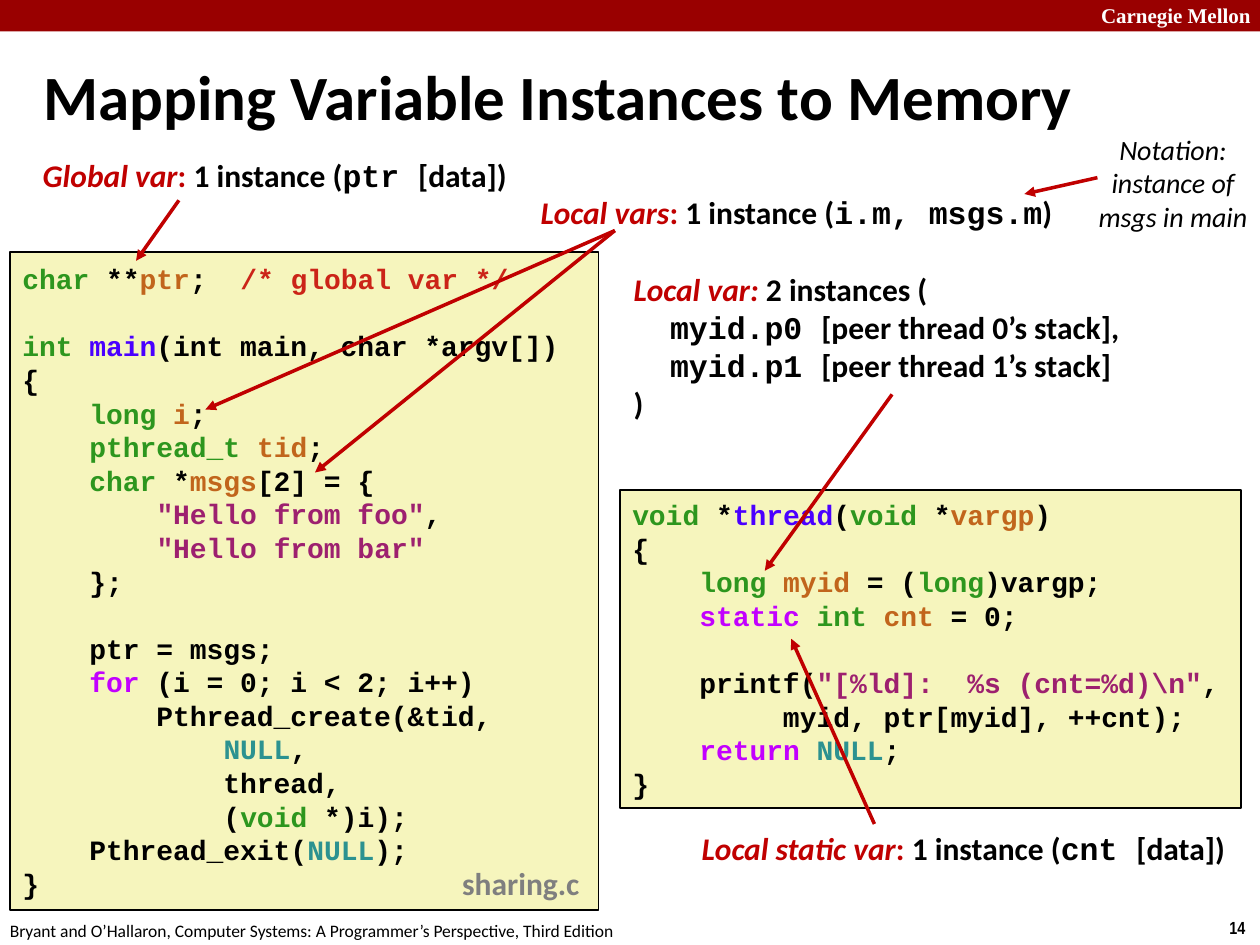
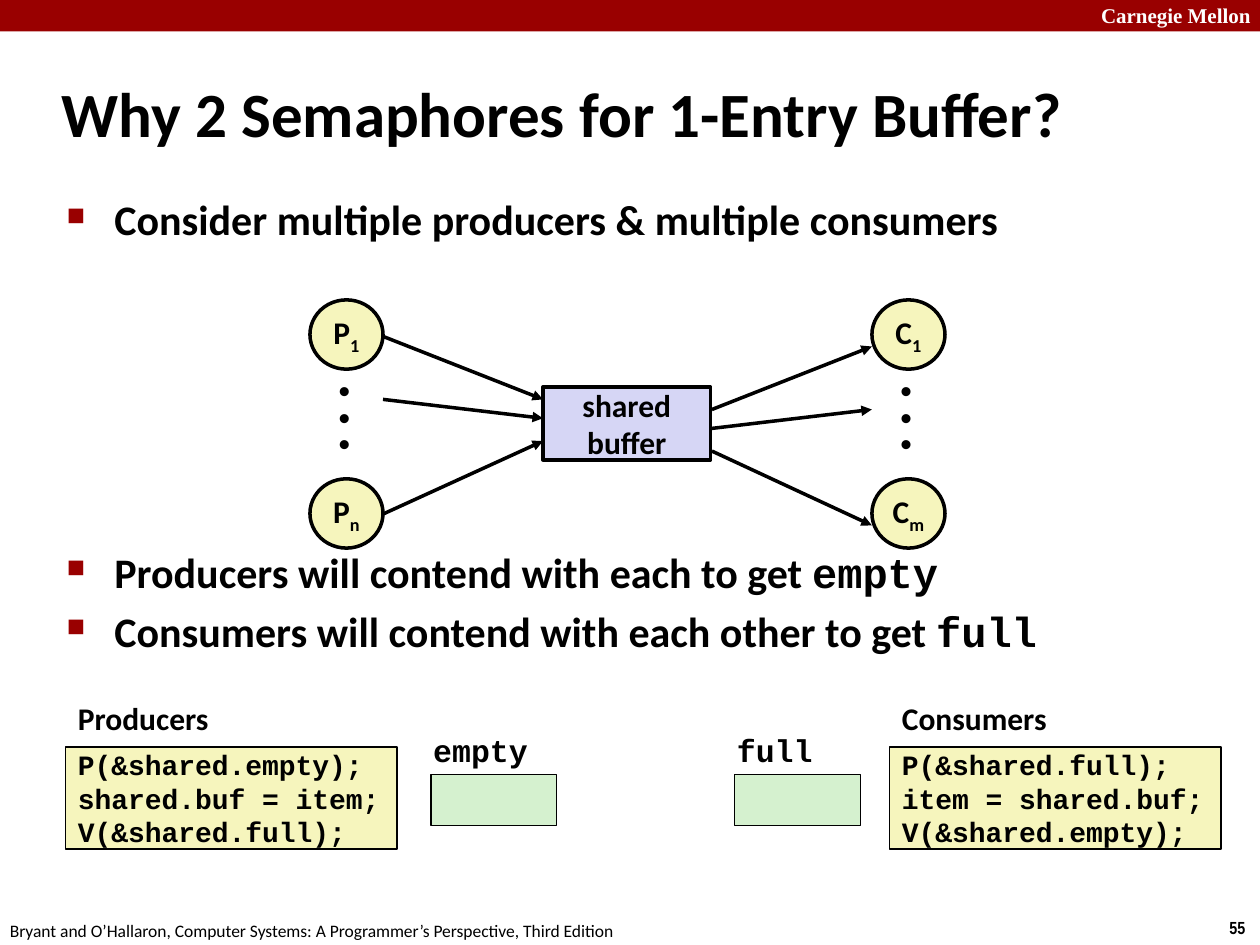
from lxml.etree import SubElement
from pptx import Presentation
from pptx.dml.color import RGBColor
from pptx.enum.shapes import MSO_CONNECTOR, MSO_SHAPE
from pptx.enum.text import MSO_ANCHOR as Anchor, MSO_AUTO_SIZE as AutoSize, PP_ALIGN as Align
from pptx.oxml.ns import qn
from pptx.util import Inches, Pt

# Shared look
BLACK, WHITE, BAND_RED, NOTE_RED = "000000", "FFFFFF", "990000", "C00000"
CODE_FILL, BUFFER_FILL, SEMAPHORE_FILL, GRAY = "F6F5BD", "D6D6F5", "D5F1CF", "7F7F7F"
BODY_FONT, CODE_FONT = "Calibri", "Courier New"
FOOTER = "Bryant and O’Hallaron, Computer Systems: A Programmer’s Perspective, Third Edition"

# Text runs are separated by "|"; a run may start with one of these tags and "~"
TAG_COLORS = {"type": "2D961E", "var": "C1651C", "func": "4A00FF", "str": "9D206F",
              "key": "C200FF", "null": "2C9290", "comment": "CB2418",
              "scope": NOTE_RED, "colon": NOTE_RED}

MAIN_CODE = r'''type~char| **|var~ptr|;  |comment~/* global var */

type~int |func~main|(int main, char *argv[])
{
    |type~long |var~i|;
    |type~pthread_t |var~tid|;
    |type~char| *|var~msgs|[2] = {
        |str~"Hello from foo"|,
        |str~"Hello from bar"
    };

    ptr = msgs;
    |key~for| (i = 0; i < 2; i++)
        Pthread_create(&tid,
            |null~NULL|,
            thread,
            (|type~void| *)i);
    Pthread_exit(|null~NULL|);
}'''

THREAD_CODE = r'''type~void| *|func~thread|(|type~void| *|var~vargp|)
{
    |type~long |var~myid| = (|type~long|)vargp;
    |key~static |type~int |var~cnt| = 0;

    printf(|str~"[%ld]:  %s (cnt=%d)\n"|,
         myid, ptr[myid], ++cnt);
    |key~return |null~NULL|;
}'''


def rgb(hex_color):
    return RGBColor.from_string(hex_color)


def write(frame, text, size, font=BODY_FONT, color=BLACK, bold=True, italic=False,
          align=Align.LEFT, anchor=Anchor.TOP, wrap=False, margin_y=0.05):
    """Fill a text frame from tagged text, one paragraph a line."""
    frame.word_wrap = wrap
    frame.vertical_anchor = anchor
    frame.margin_left = frame.margin_right = Inches(0.1)
    frame.margin_top = frame.margin_bottom = Inches(margin_y)
    for number, line in enumerate(text.split("\n")):
        paragraph = frame.add_paragraph() if number else frame.paragraphs[0]
        paragraph.alignment = align
        paragraph.font.size = Pt(size)
        paragraph.font.name = font
        for part in line.split("|") if line else []:
            tag, _, words = part.rpartition("~")
            run = paragraph.add_run()
            run.text = words
            run.font.size = Pt(size)
            run.font.name = CODE_FONT if tag == "mono" else font
            run.font.bold = bold
            run.font.italic = italic or tag == "scope"
            run.font.color.rgb = rgb(TAG_COLORS.get(tag, color))
            if tag == "sub":
                run.font._element.set("baseline", "-25000")


def add_label(slide, area, text, size, grow=True, **style):
    label = slide.shapes.add_textbox(*map(Inches, area))
    write(label.text_frame, text, size, **style)
    if grow:
        label.text_frame.auto_size = AutoSize.SHAPE_TO_FIT_TEXT
    return label


def add_block(slide, area, fill, line_width=0, kind=MSO_SHAPE.RECTANGLE):
    block = slide.shapes.add_shape(kind, *map(Inches, area))
    block.shadow.inherit = False
    block.fill.solid()
    block.fill.fore_color.rgb = rgb(fill)
    if line_width:
        block.line.color.rgb = rgb(BLACK)
        block.line.width = Pt(line_width)
    else:
        block.line.fill.background()
    return block


def add_code(slide, area, code, **style):
    block = add_block(slide, area, CODE_FILL, 1)
    write(block.text_frame, code, 16, font=CODE_FONT, anchor=Anchor.MIDDLE, **style)


def add_node(slide, area, text, fill, kind):
    node = add_block(slide, area, fill, 2, kind)
    write(node.text_frame, text, 18, align=Align.CENTER, anchor=Anchor.MIDDLE, margin_y=0)


def add_arrow(slide, start, end, color=BLACK):
    arrow = slide.shapes.add_connector(MSO_CONNECTOR.STRAIGHT, *map(Inches, start + end))
    arrow.line.color.rgb = rgb(color)
    arrow.line.width = Pt(2)
    properties = arrow._element.spPr
    SubElement(properties.find(qn("a:ln")), qn("a:tailEnd"), type="triangle")
    SubElement(properties, qn("a:effectLst"))


def add_note(slide, area, text, **style):
    return add_label(slide, area, text, 18, anchor=Anchor.MIDDLE, margin_y=0, **style)


def add_bullets(slide, area, text):
    body = add_label(slide, area, text, 24, grow=False, wrap=True)
    for number, paragraph in enumerate(body.text_frame.paragraphs):
        if number:
            paragraph.space_before = Pt(4.8)
        properties = paragraph._p.get_or_add_pPr()
        properties.set("marL", str(Inches(0.38)))
        properties.set("indent", str(-Inches(0.38)))
        bullet_color = properties.makeelement(qn("a:buClr"), {})
        SubElement(bullet_color, qn("a:srgbClr"), val=BAND_RED)
        bullet_size = properties.makeelement(qn("a:buSzPct"), {"val": "60000"})
        bullet_mark = properties.makeelement(qn("a:buChar"), {"char": "■"})
        default_run = properties.find(qn("a:defRPr"))
        for bullet_part in (bullet_color, bullet_size, bullet_mark):
            default_run.addprevious(bullet_part)


def start_slide(deck, title, title_area, page):
    slide = deck.slides.add_slide(deck.slide_layouts[6])
    add_block(slide, (0, 0, 10, 0.25), BAND_RED)
    add_label(slide, (8.64, -0.03, 1.43, 0.3), "Carnegie Mellon", 12,
              font="Times New Roman", color=WHITE, wrap=True)
    add_label(slide, (9.66, 7.23, 0.34, 0.27), page, 10, font="Arial Narrow")
    add_label(slide, (-0.02, 7.25, 5.08, 0.27), FOOTER, 10, bold=False)
    add_label(slide, title_area, title, 36, grow=False, wrap=True, anchor=Anchor.MIDDLE)
    return slide


def build_mapping(deck):
    slide = start_slide(deck, "Mapping Variable Instances to Memory",
                        (0.25, 0.33, 9.7, 0.85), "14")
    add_code(slide, (0.08, 2, 4.67, 5.22), MAIN_CODE, wrap=True)
    add_code(slide, (4.92, 3.89, 4.93, 2.52), THREAD_CODE)
    add_label(slide, (3.57, 6.81, 1.14, 0.4), "sharing.c", 18, color=GRAY)

    # Where each variable lives
    for area, scope, variable, rest in (
            ((0.22, 1.24, 3.92, 0.3), "Global var", "ptr ", "[data])"),
            ((5.44, 6.58, 4.41, 0.3), "Local static var", "cnt ", "[data])"),
            ((4.17, 1.53, 4.3, 0.3), "Local vars", "i.m, msgs.m", ")")):
        add_note(slide, area, f"scope~{scope}|colon~: |1 instance (|mono~{variable}|{rest}",
                 align=Align.CENTER)
    myid_note = add_note(slide, (4.93, 2.14, 4.23, 1.21),
                         "scope~Local var: |2 instances (\n"
                         "mono~myid.p0 |[peer thread 0’s stack],\n"
                         "mono~myid.p1 |[peer thread 1’s stack]\n)")
    for instance in myid_note.text_frame.paragraphs[1:3]:
        instance._p.get_or_add_pPr().set("marL", str(Inches(0.29)))
    add_label(slide, (8.61, 1, 1.4, 0.91), "Notation:\ninstance of\nmsgs in main", 16,
              bold=False, italic=True, align=Align.CENTER)

    # Arrows from notes to code
    for start, end in (((1.42, 1.59), (1.08, 2.07)), ((6.94, 6.54), (6.28, 5.07)),
                       ((4.88, 1.83), (1.63, 3.25)), ((4.88, 1.83), (2.5, 3.75)),
                       ((7.08, 3.13), (6.07, 4.53)), ((8.71, 1.41), (8.13, 1.54))):
        add_arrow(slide, start, end, NOTE_RED)


def build_semaphores(deck):
    slide = start_slide(deck, "Why 2 Semaphores for 1-Entry Buffer?",
                        (0.39, 0.48, 8.3, 0.83), "55")
    add_bullets(slide, (0.43, 1.49, 8.64, 0.5),
                "Consider multiple producers & multiple consumers")
    add_bullets(slide, (0.43, 4.29, 8.64, 1),
                "Producers will contend with each to get |mono~empty\n"
                "Consumers will contend with each other to get |mono~full")

    # Producers and consumers around the buffer
    add_node(slide, (4.31, 3.07, 1.33, 0.58), "shared\nbuffer", BUFFER_FILL,
             MSO_SHAPE.RECTANGLE)
    for left, letter, last in ((2.46, "P", "n"), (6.92, "C", "m")):
        for top, index in ((2.38, "1"), (3.8, last)):
            add_node(slide, (left, top, 0.58, 0.55), f"{letter}|sub~{index}", CODE_FILL,
                     MSO_SHAPE.OVAL)
        dots = add_label(slide, (left + 0.13, 2.98, 0.32, 0.75), "•\n•\n•", 18, font="Arial")
        for dot in dots.text_frame.paragraphs:
            dot.line_spacing = 0.7
    for producer_y, buffer_y in ((2.67, 3.17), (3.17, 3.32), (4.08, 3.5)):
        add_arrow(slide, (3.04, producer_y), (4.31, buffer_y))
    for buffer_y, consumer_y in ((3.25, 2.75), (3.4, 3.25), (3.58, 4.17)):
        add_arrow(slide, (5.65, buffer_y), (6.92, consumer_y))

    # Code of each side
    for left, role, width, code in (
            (0.52, "Producers", 1.26, "P(&shared.empty);\nshared.buf = item;\nV(&shared.full);"),
            (7.06, "Consumers", 1.37, "P(&shared.full);\nitem = shared.buf;\nV(&shared.empty);")):
        add_code(slide, (left, 5.93, 2.63, 0.81), code, margin_y=0)
        add_label(slide, (left, 5.5, width, 0.4), role, 18)

    # Semaphores
    for left, semaphore, width in ((3.42, "empty", 0.96), (5.83, "full", 0.81)):
        add_block(slide, (left, 6.15, 1, 0.4), SEMAPHORE_FILL, 0.75)
        add_label(slide, (left - 0.08, 5.75, width, 0.4), semaphore, 18, font=CODE_FONT)


def main():
    deck = Presentation()
    deck.slide_width, deck.slide_height = Inches(10), Inches(7.5)
    build_mapping(deck)
    build_semaphores(deck)
    deck.save("out.pptx")


if __name__ == "__main__":
    main()
